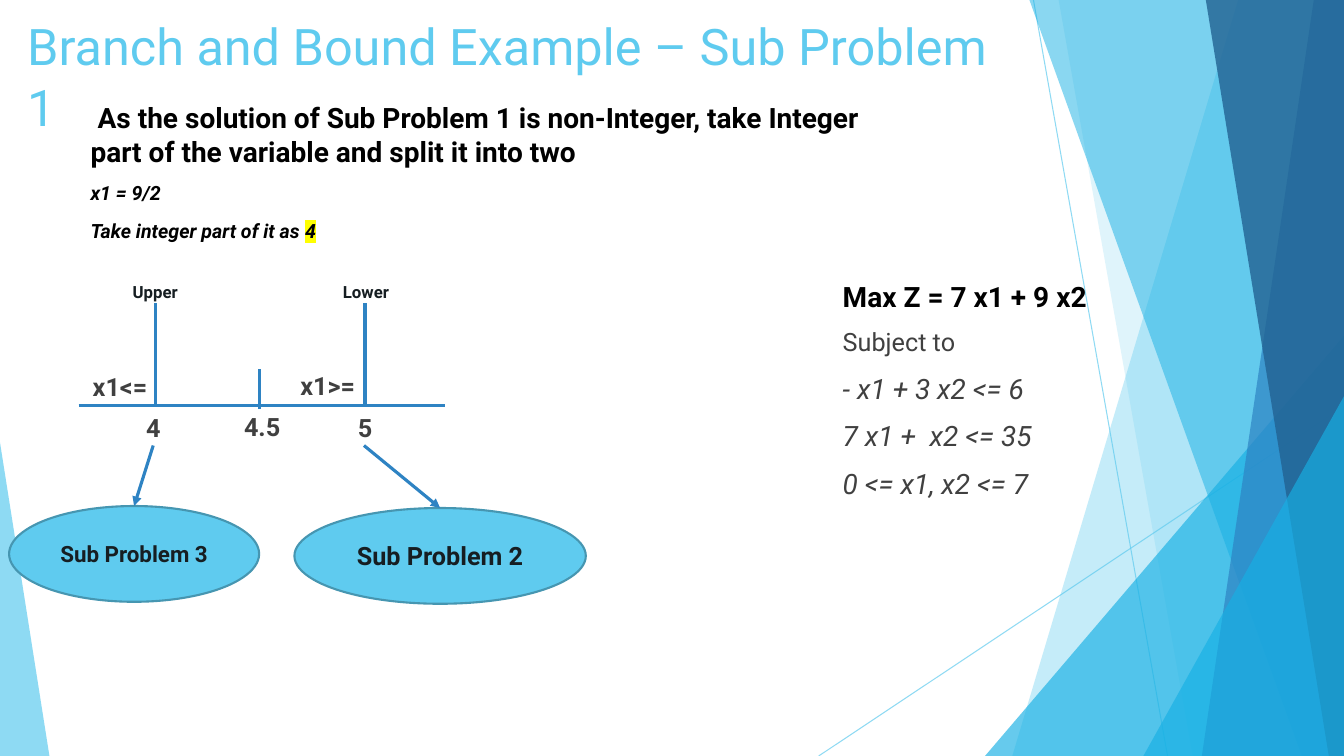
import pptx
import pptx.util
import pptx.dml.color
import pptx.enum.shapes
import pptx.enum.text
import pptx.oxml
import pptx.oxml.ns

Inches = pptx.util.Inches
Pt = pptx.util.Pt
SHAPES = pptx.enum.shapes.MSO_SHAPE
ALIGN = pptx.enum.text.PP_ALIGN
ANCHOR = pptx.enum.text.MSO_ANCHOR

FONT = "Roboto"
COLORS = {"sky": "5FCBEF", "cyan": "17B0E4", "blue": "2E83C3", "navy": "226292",
          "outline": "4696B1", "ink": "161E22", "gray": "404040",
          "black": "000000", "yellow": "FFFF00"}
WIDTH, HEIGHT = 13.33, 7.5

TITLE = "Branch and Bound Example – Sub Problem 1"
INTRO = [" As the solution of Sub Problem 1 is non-Integer, take Integer "
         "part of the variable and split it into two"]
INTEGER_PART = ["x1 = 9/2", ["Take integer part of it as ", ("4", {"highlight": "yellow"})]]
CONSTRAINT = {"size": 20, "italic": True}
MODEL = [[("Max Z = 7 x1 + 9 x2", {"size": 20, "bold": True, "color": "black"})],
         "Subject to",
         [("- x1 + 3 x2 <= 6", CONSTRAINT)],
         [("7 x1 +  x2 <= 35", CONSTRAINT)],
         [("0 <= x1, x2 <= 7", CONSTRAINT)]]

# Background pieces, back to front
HAIRLINES = [((10.25, 0), (11.58, HEIGHT)), ((WIDTH, 4.03), (8.12, HEIGHT))]
# "band": top x, bottom x, reaching the right edge; "triangle": box and apex position
BACKGROUND = [
    ("band", (12.28, 10.04), "sky", 36),
    ("band", (10.5, 11.83), "sky", 20),
    ("triangle", (9.77, 3.33, 3.56, 4.17, 1), "cyan", 66),
    ("band", (10.21, 12.91), "cyan", 50),
    ("band", (13.03, 11.92), "blue", 70),
    ("band", (11.96, 13.18), "navy", 80),
    ("triangle", (11.34, 3.93, 1.99, 3.57, 1), "cyan", 66),
    ("triangle", (0, 4.39, 0.49, 3.11, 0), "sky", 70),
]

# Number line
AXIS_Y = 4.02
AXIS_LINES = [((0.78, AXIS_Y), (4.41, AXIS_Y)),
              ((3.62, AXIS_Y), (3.62, 3.01)),
              ((1.54, AXIS_Y), (1.54, 3.01)),
              ((2.57, 4.06), (2.57, 3.66))]
# text, centre x, top, width, size, colour
AXIS_LABELS = [("Upper", 1.54, 2.75, 0.8, 12, "ink"),
               ("Lower", 3.63, 2.75, 0.8, 12, "ink"),
               ("x1>=", 3.25, 3.62, 0.94, 18, "gray"),
               ("x1<=", 1.19, 3.63, 0.94, 18, "gray"),
               ("4", 1.52, 4.04, 0.65, 18, "gray"),
               ("5", 3.62, 4.04, 0.65, 18, "gray"),
               ("4.5", 2.6, 4.03, 0.65, 18, "gray")]
# text, box, size, arrow start
BRANCHES = [("Sub Problem 3", (0.09, 5.02, 2.48, 0.95), 16, (1.52, 4.42)),
            ("Sub Problem 2", (2.92, 5.04, 2.89, 0.95), 18, (3.61, 4.42))]


def rgb(name):
    return pptx.dml.color.RGBColor.from_string(COLORS[name])


def add_alpha(element, percent):
    """Make the solid fill inside an element partly transparent."""
    color = next(element.iter(pptx.oxml.ns.qn("a:srgbClr")))
    alpha = pptx.oxml.parse_xml(f'<a:alpha {pptx.oxml.ns.nsdecls("a")} val="{percent * 1000}"/>')
    color.append(alpha)


def format_run(run, size, color, bold=False, italic=False, highlight=None):
    run.font.name, run.font.size = FONT, Pt(size)
    run.font.bold, run.font.italic = bold, italic
    run.font.color.rgb = rgb(color)
    if highlight:
        fill = run.font._element.find(pptx.oxml.ns.qn("a:solidFill"))
        fill.addnext(pptx.oxml.parse_xml(
            f'<a:highlight {pptx.oxml.ns.nsdecls("a")}>'
            f'<a:srgbClr val="{COLORS[highlight]}"/></a:highlight>'))


def write_text(shape, paragraphs, align=ALIGN.LEFT, anchor=ANCHOR.TOP, space=10, **style):
    """Fill a shape; a paragraph is a string or a list of strings and (string, style) pairs."""
    frame = shape.text_frame
    frame.word_wrap = True
    frame.auto_size = pptx.enum.text.MSO_AUTO_SIZE.NONE
    frame.vertical_anchor = anchor
    for index, parts in enumerate(paragraphs):
        paragraph = frame.add_paragraph() if index else frame.paragraphs[0]
        paragraph.alignment = align
        paragraph.space_before = Pt(space if index else 0)
        for part in [parts] if isinstance(parts, str) else parts:
            text, extra = (part, {}) if isinstance(part, str) else part
            run = paragraph.add_run()
            run.text = text
            format_run(run, **{**style, **extra})


def add_text(slide, box, paragraphs, **style):
    write_text(slide.shapes.add_textbox(*map(Inches, box)), paragraphs, **style)


def add_line(slide, start, end, color="blue", width=2.25, alpha=None, arrow=False):
    line = slide.shapes.add_connector(pptx.enum.shapes.MSO_CONNECTOR.STRAIGHT,
                                      *map(Inches, start + end))
    line.line.color.rgb = rgb(color)
    line.line.width = Pt(width)
    properties = line._element.spPr
    if alpha:
        add_alpha(properties, alpha)
    if arrow:
        line.line._get_or_add_ln().append(pptx.oxml.parse_xml(
            f'<a:tailEnd {pptx.oxml.ns.nsdecls("a")} type="triangle"/>'))
    properties.append(pptx.oxml.parse_xml(f'<a:effectLst {pptx.oxml.ns.nsdecls("a")}/>'))


def fill_shape(shape, color):
    shape.shadow.inherit = False
    shape.fill.solid()
    shape.fill.fore_color.rgb = rgb(color)


def add_background(slide):
    for start, end in HAIRLINES:
        add_line(slide, start, end, color="sky", width=0.75, alpha=70)
    for kind, geometry, color, alpha in BACKGROUND:
        if kind == "band":
            top, bottom = geometry
            corners = [(WIDTH, 0), (WIDTH, HEIGHT), (bottom, HEIGHT)]
            builder = slide.shapes.build_freeform(Inches(top), 0)
            builder.add_line_segments([(Inches(x), Inches(y)) for x, y in corners])
            shape = builder.convert_to_shape()
        else:
            *box, apex = geometry
            shape = slide.shapes.add_shape(SHAPES.ISOSCELES_TRIANGLE, *map(Inches, box))
            shape.adjustments[0] = apex
        fill_shape(shape, color)
        add_alpha(shape._element.spPr, alpha)
        shape.line.fill.background()


def add_number_line(slide):
    for start, end in AXIS_LINES:
        add_line(slide, start, end)
    for text, center, top, width, size, color in AXIS_LABELS:
        add_text(slide, (center - width / 2, top, width, 0.38), [text],
                 align=ALIGN.CENTER, size=size, color=color, bold=True)


def add_branches(slide):
    for text, box, size, start in BRANCHES:
        ellipse = slide.shapes.add_shape(SHAPES.OVAL, *map(Inches, box))
        fill_shape(ellipse, "sky")
        ellipse.line.color.rgb = rgb("outline")
        ellipse.line.width = Pt(1.5)
        write_text(ellipse, [text], align=ALIGN.CENTER, anchor=ANCHOR.MIDDLE,
                   size=size, color="ink", bold=True)
        left, top, width, _ = box
        add_line(slide, start, (left + width / 2, top), arrow=True)


def main():
    presentation = pptx.Presentation()
    presentation.slide_width, presentation.slide_height = Inches(WIDTH), Inches(HEIGHT)
    slide = presentation.slides.add_slide(presentation.slide_layouts[5])
    add_background(slide)
    title = slide.shapes.title
    title.left, title.top, title.width, title.height = map(Inches, (0.17, 0.1, 10.07, 0.8))
    write_text(title, [TITLE], size=36, color="sky")
    add_text(slide, (0.8, 0.95, 8.2, 0.8), INTRO, size=20, color="black", bold=True)
    add_text(slide, (0.8, 1.75, 3.2, 1), INTEGER_PART, size=14, color="black",
             bold=True, italic=True)
    add_number_line(slide)
    add_branches(slide)
    add_text(slide, (8.26, 2.72, 4.62, 2.52), MODEL, size=18, color="gray")
    presentation.save("out.pptx")


if __name__ == "__main__":
    main()
